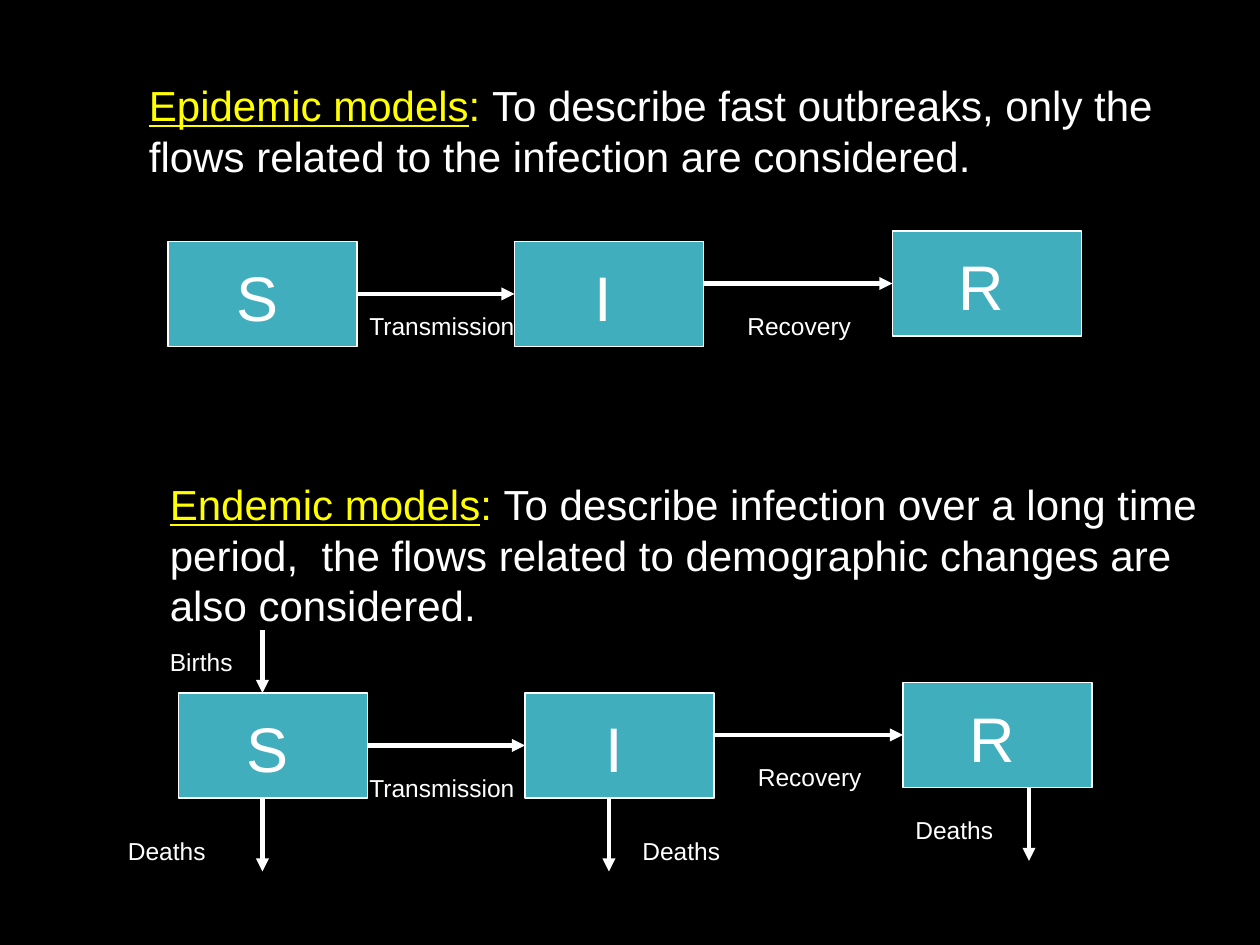
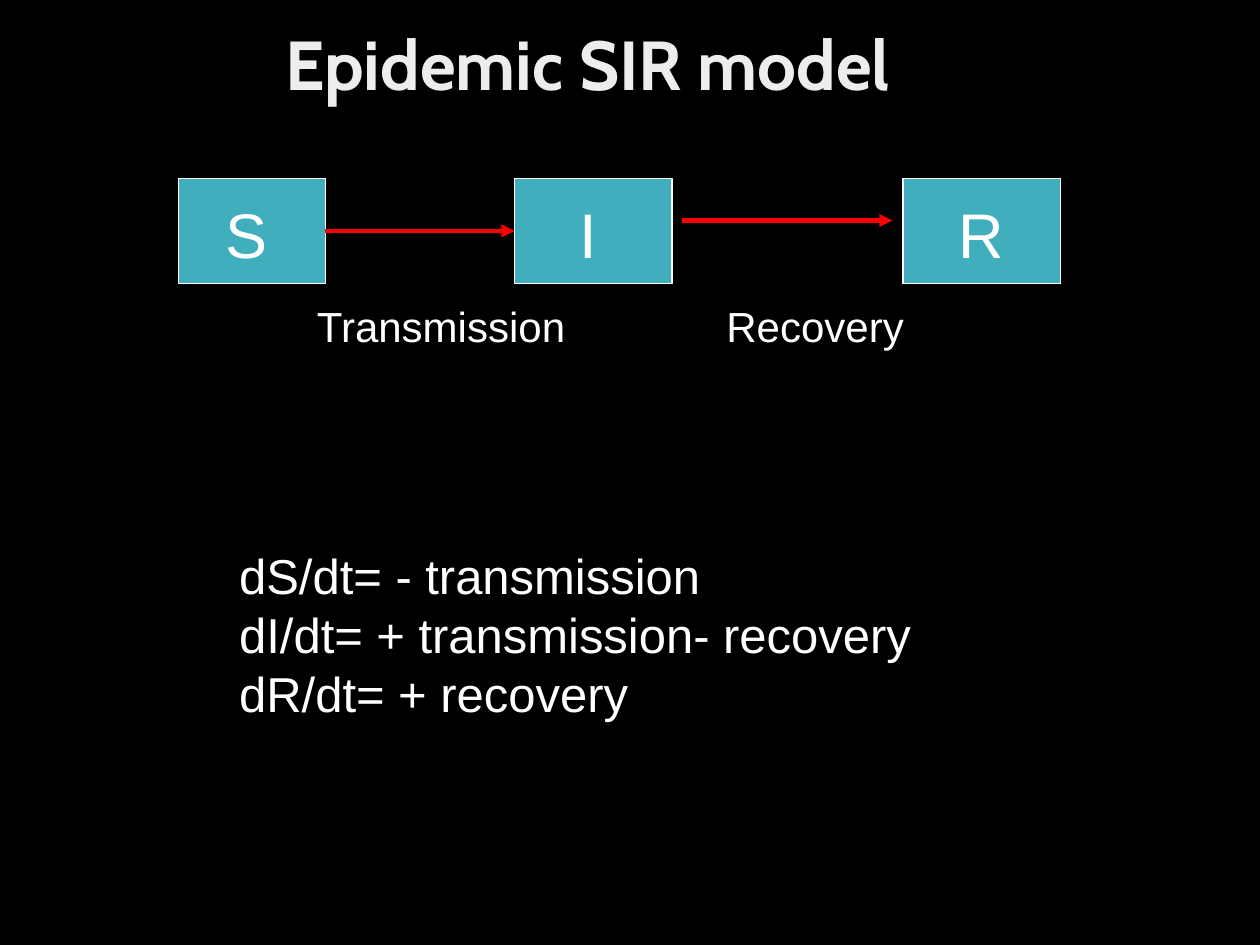
from collections import namedtuple

from lxml import etree
from pptx import Presentation
from pptx.dml.color import RGBColor
from pptx.enum.shapes import MSO_CONNECTOR, MSO_SHAPE
from pptx.enum.text import MSO_ANCHOR, PP_ALIGN
from pptx.oxml.ns import qn
from pptx.util import Inches, Pt

BLACK = RGBColor(0x00, 0x00, 0x00)
WHITE = RGBColor(0xFF, 0xFF, 0xFF)
SILVER = RGBColor(0xED, 0xED, 0xED)
TEAL = RGBColor(0x41, 0xAE, 0xBD)
YELLOW = RGBColor(0xFF, 0xFF, 0x00)
RED = RGBColor(0xFF, 0x00, 0x00)

RECTANGLE = MSO_SHAPE.RECTANGLE
STRAIGHT = MSO_CONNECTOR.STRAIGHT
LEFT = PP_ALIGN.LEFT
CENTER = PP_ALIGN.CENTER
TOP = MSO_ANCHOR.TOP
MIDDLE = MSO_ANCHOR.MIDDLE

BODY_FONT = "Arial"
TITLE_FONT = "Cabin"
COLUMNS, ROWS = 120, 90
WIDTH, HEIGHT = Inches(10), Inches(7.5)
STATE_ROWS = 10
LETTER_ROWS = 8.4
LABEL_ROWS = 4

Box = namedtuple("Box", "left top width height")
State = namedtuple("State", "letter box letter_left letter_width")
Flow = namedtuple("Flow", "start end")
Label = namedtuple("Label", "text box align")


def across(columns):
    return round(WIDTH * columns / COLUMNS)


def down(rows):
    return round(HEIGHT * rows / ROWS)


def place(box):
    return across(box.left), down(box.top), across(box.width), down(box.height)


def inside(box, part):
    return Box(box.left + part.left, box.top + part.top, part.width, part.height)


def style(span, size, colour=WHITE, font=BODY_FONT):
    span.font.size = Pt(size)
    span.font.name = font
    span.font.color.rgb = colour


def add_text(page, box, text, size, align=LEFT, anchor=TOP):
    frame = page.shapes.add_textbox(*place(box)).text_frame
    frame.word_wrap = True
    frame.vertical_anchor = anchor
    frame.text = text
    for para in frame.paragraphs:
        para.alignment = align
        for span in para.runs:
            style(span, size)
    return frame


def add_arrow(page, box, flow, colour=WHITE):
    (start_x, start_y), (end_x, end_y) = flow
    arrow = page.shapes.add_connector(
        STRAIGHT,
        across(box.left + start_x), down(box.top + start_y),
        across(box.left + end_x), down(box.top + end_y))
    arrow.line.color.rgb = colour
    arrow.line.width = Pt(2.5)
    outline = arrow.line._get_or_add_ln()
    etree.SubElement(outline, qn("a:tailEnd"), type="triangle")
    etree.SubElement(arrow._element.spPr, qn("a:effectLst"))


def add_chain(page, box, states, flows, labels, label_size, arrow_colour=WHITE):
    for state in states:
        spot = inside(box, state.box)
        shape = page.shapes.add_shape(RECTANGLE, *place(spot))
        shape.shadow.inherit = False
        shape.fill.solid()
        shape.fill.fore_color.rgb = TEAL
        shape.line.color.rgb = WHITE
        shape.line.width = Pt(0.75)
        letter_box = Box(spot.left + state.letter_left, spot.top + 1,
                         state.letter_width, LETTER_ROWS)
        add_text(page, letter_box, state.letter, 36, CENTER)
    for flow in flows:
        add_arrow(page, box, flow, arrow_colour)
    for label in labels:
        add_text(page, inside(box, label.box), label.text, label_size, label.align)


def add_definition(page, box, term, meaning):
    para = add_text(page, box, term, 24).paragraphs[0]
    para.runs[0].font.underline = True
    para.runs[0].font.color.rgb = YELLOW
    for text, colour in ((": ", YELLOW), (meaning, WHITE)):
        span = para.add_run()
        span.text = text
        style(span, 24, colour)


def add_model_chain(page, box, transmission_left, transmission_top):
    states = [State(letter, Box(left, top, 18, STATE_ROWS), 1, 15)
              for letter, left, top in (("S", 0, 1), ("I", 33, 1), ("R", 69, 0))]
    flows = [Flow((18, 6), (33, 6)), Flow((51, 5), (69, 5))]
    labels = [
        Label("Transmission", Box(transmission_left, transmission_top, 17, LABEL_ROWS), LEFT),
        Label("Recovery", Box(54, 7, 13, LABEL_ROWS), LEFT),
    ]
    add_chain(page, box, states, flows, labels, 14)


def add_demography(page, box):
    changes = (
        ("Births", 8, -5, 1, -2, -4),
        ("Deaths", 8, 11, 18, -6, 14),
        ("Deaths", 41, 11, 18, 43, 14),
        ("Deaths", 81, 10, 17, 69, 12),
    )
    for text, column, start, end, left, top in changes:
        add_arrow(page, box, Flow((column, start), (column, end)))
        add_text(page, inside(box, Box(left, top, 13, LABEL_ROWS)), text, 14)


def add_title(page, box, text):
    para = add_text(page, box, text, 39.6, anchor=MIDDLE).paragraphs[0]
    para.line_spacing = 0.9
    style(para.runs[0], 39.6, SILVER, TITLE_FONT)
    para.runs[0].font.bold = True


def add_page(deck):
    page = deck.slides.add_slide(deck.slide_layouts[6])
    page.background.fill.solid()
    page.background.fill.fore_color.rgb = BLACK
    return page


def build_comparison(deck):
    page = add_page(deck)
    add_definition(page, Box(13, 7, 99, 11), "Epidemic models",
                   "To describe fast outbreaks, only the flows related to the "
                   "infection are considered.")
    add_model_chain(page, Box(16, 22, 87, 11), 18, 7)
    add_definition(page, Box(15, 45, 101, 15.7), "Endemic models",
                   "To describe infection over a long time period,  the flows "
                   "related to demographic changes are also considered.")
    endemic = Box(17, 65, 87, 11)
    add_model_chain(page, endemic, 17, 8)
    add_demography(page, endemic)


def build_equations(deck):
    page = add_page(deck)
    add_title(page, Box(26, 2, 90, 9), "Epidemic SIR model")
    states = [
        State("S", Box(0, 0, 14, STATE_ROWS), -1, 15),
        State("I", Box(32, 0, 15, STATE_ROWS), 2, 10),
        State("R", Box(69, 0, 15, STATE_ROWS), 1, 13),
    ]
    flows = [Flow((14, 5), (32, 5)), Flow((48, 4), (68, 4))]
    labels = [
        Label("Transmission", Box(11, 11, 28, 6), CENTER),
        Label("Recovery", Box(51, 11, 23, 6), LEFT),
    ]
    add_chain(page, Box(17, 17, 84, 17), states, flows, labels, 24, RED)
    equations = ("dS/dt= - transmission", "dI/dt= + transmission- recovery",
                 "dR/dt= + recovery")
    add_text(page, Box(21.6, 51.4, 79, 18), "\n".join(equations), 28, anchor=MIDDLE)


deck = Presentation()
deck.slide_width, deck.slide_height = WIDTH, HEIGHT
build_comparison(deck)
build_equations(deck)
deck.save("out.pptx")
